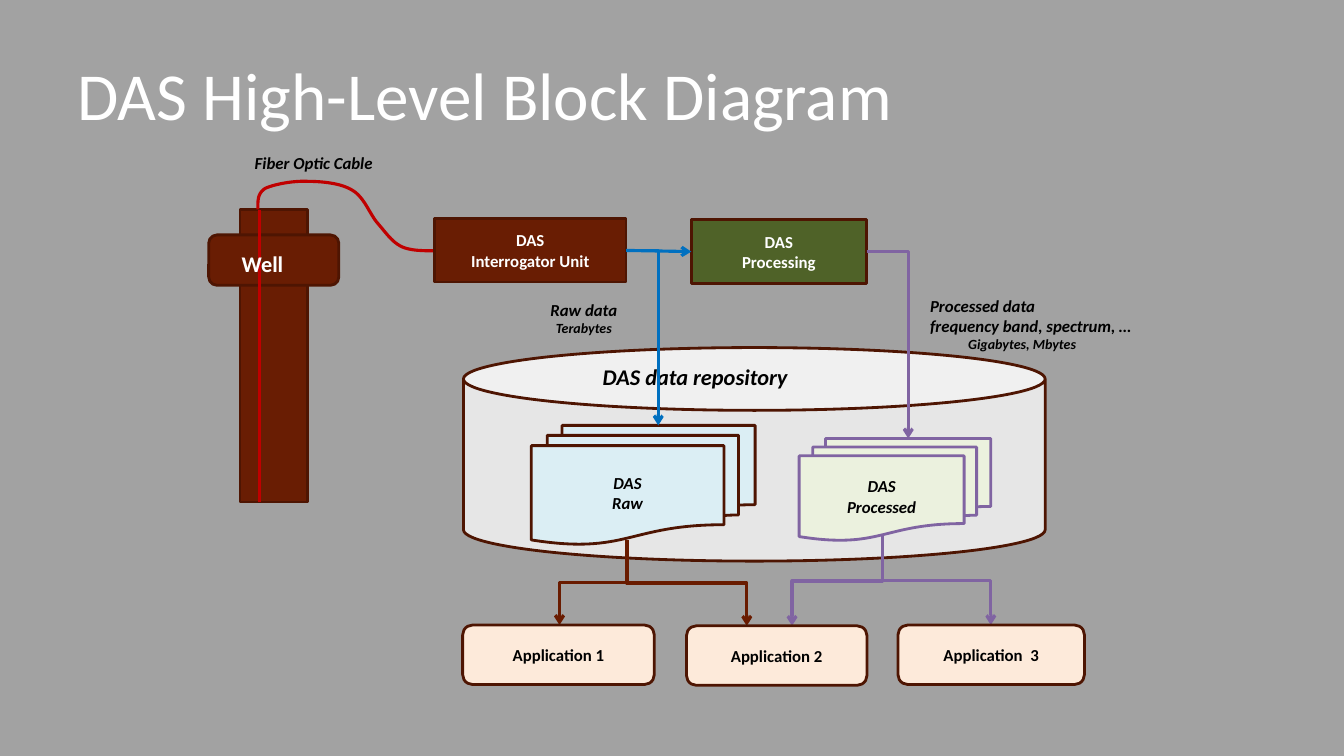
from lxml import etree
from pptx import Presentation
from pptx.dml.color import RGBColor
from pptx.enum import shapes, text
from pptx.oxml.ns import qn
from pptx.util import Cm, Pt

FONT = "Calibri"
GRAY = RGBColor(0xA2, 0xA2, 0xA2)
WHITE = RGBColor(0xFF, 0xFF, 0xFF)
BLACK = RGBColor(0x00, 0x00, 0x00)
BROWN = RGBColor(0x69, 0x1D, 0x03)
DARK_BROWN = RGBColor(0x4E, 0x15, 0x02)
ARROW_BROWN = RGBColor(0x69, 0x1B, 0x00)
GREEN = RGBColor(0x4F, 0x62, 0x28)
RED = RGBColor(0xC0, 0x00, 0x00)
BLUE = RGBColor(0x00, 0x70, 0xC0)
PURPLE = RGBColor(0x80, 0x64, 0xA2)
PALE_GRAY = RGBColor(0xE6, 0xE6, 0xE6)
PALE_BLUE = RGBColor(0xDB, 0xEE, 0xF4)
PALE_GREEN = RGBColor(0xEB, 0xF1, 0xDE)
PEACH = RGBColor(0xFD, 0xEA, 0xDA)

SHAPE = shapes.MSO_SHAPE
CONNECTOR = shapes.MSO_CONNECTOR
LEFT, CENTER = text.PP_ALIGN.LEFT, text.PP_ALIGN.CENTER
LINE_WIDTH = Pt(2.25)
CURVE_STEPS = 12

# Start point, then two control points and an end point per segment, in cm.
CABLE_START = (6.5, 5.28)
CABLE_SEGMENTS = [
    ((6.5, 5.08), (6.48, 4.88), (6.68, 4.75)),
    ((6.88, 4.65), (7.39, 4.55), (7.75, 4.57)),
    ((8.13, 4.57), (8.61, 4.62), (8.89, 4.8)),
    ((9.19, 4.98), (9.32, 5.41), (9.53, 5.64)),
    ((9.73, 5.87), (9.88, 6.1), (10.13, 6.22)),
    ((10.36, 6.32), (10.67, 6.32), (10.97, 6.32)),
]


def write_lines(frame, lines, color, align=LEFT, bold=True, italic=False):
    """Write one paragraph for each (words, size, indent in cm)."""
    for index, (words, size, indent) in enumerate(lines):
        paragraph = frame.paragraphs[0] if index == 0 else frame.add_paragraph()
        paragraph.alignment = align
        if indent:
            properties = paragraph._p.get_or_add_pPr()
            properties.set("marL", str(Cm(indent)))
            properties.set("indent", "0")
        run = paragraph.add_run()
        run.text = words
        run.font.name = FONT
        run.font.size = Pt(size)
        run.font.bold = bold
        run.font.italic = italic
        run.font.color.rgb = color


def add_block(slide, kind, box, fill, words=(), color=BLACK, line=DARK_BROWN, italic=False):
    shape = slide.shapes.add_shape(kind, *map(Cm, box))
    shape.shadow.inherit = False
    shape.fill.solid()
    shape.fill.fore_color.rgb = fill
    shape.line.color.rgb = line
    shape.line.width = Pt(2)
    shape.text_frame.vertical_anchor = text.MSO_ANCHOR.MIDDLE
    lines = [(word, 12, 0) for word in words]
    write_lines(shape.text_frame, lines, color, CENTER, italic=italic)
    return shape


def add_label(slide, box, lines, color=BLACK, align=LEFT, italic=True):
    label = slide.shapes.add_textbox(*map(Cm, box))
    label.text_frame.word_wrap = False
    label.text_frame.auto_size = text.MSO_AUTO_SIZE.SHAPE_TO_FIT_TEXT
    write_lines(label.text_frame, lines, color, align, italic=italic)


def add_title(slide, words):
    title = slide.shapes.add_textbox(Cm(1.7), Cm(0.76), Cm(30.48), Cm(3.18))
    title.text_frame.word_wrap = True
    title.text_frame.vertical_anchor = text.MSO_ANCHOR.MIDDLE
    write_lines(title.text_frame, [(words, 48, 0)], WHITE, bold=False)


def add_line(slide, kind, start, end, color, arrow=True):
    connector = slide.shapes.add_connector(kind, *map(Cm, start + end))
    connector.line.color.rgb = color
    connector.line.width = LINE_WIDTH
    properties = connector._element.spPr
    if arrow:
        tail = etree.SubElement(properties.find(qn("a:ln")), qn("a:tailEnd"))
        tail.set("type", "arrow")
    etree.SubElement(properties, qn("a:effectLst"))
    return connector


def add_corner_arrow(slide, start, end, color):
    """Go across, then down, with a single bend."""
    connector = add_line(slide, CONNECTOR.ELBOW, start, end, color)
    connector._element.spPr.find(qn("a:prstGeom")).set("prst", "bentConnector2")


def add_step_arrow(slide, start, end, color):
    """Go down, across and down, as an elbow turned by a quarter."""
    middle_x, middle_y = (start[0] + end[0]) / 2, (start[1] + end[1]) / 2
    half_drop, half_run = (end[1] - start[1]) / 2, abs(end[0] - start[0]) / 2
    rightward = end[0] > start[0]
    side = -half_drop if rightward else half_drop
    connector = add_line(slide, CONNECTOR.ELBOW,
                         (middle_x - side, middle_y - half_run),
                         (middle_x + side, middle_y + half_run), color)
    degrees = 270 if rightward else 90
    connector._element.spPr.find(qn("a:xfrm")).set("rot", str(degrees * 60000))


def add_curve(slide, start, segments, color):
    """Draw cubic Bezier segments as one smooth open outline."""
    points, current = [], start
    for first, second, end in segments:
        for step in range(1, CURVE_STEPS + 1):
            t = step / CURVE_STEPS
            weights = ((1 - t) ** 3, 3 * t * (1 - t) ** 2, 3 * t ** 2 * (1 - t), t ** 3)
            corners = (current, first, second, end)
            points.append(tuple(
                Cm(sum(weight * corner[axis] for weight, corner in zip(weights, corners)))
                for axis in (0, 1)))
        current = end
    builder = slide.shapes.build_freeform(Cm(start[0]), Cm(start[1]))
    builder.add_line_segments(points, close=False)
    curve = builder.convert_to_shape()
    curve.shadow.inherit = False
    curve.fill.background()
    curve.line.color.rgb = color
    curve.line.width = LINE_WIDTH


def add_well(slide):
    add_block(slide, SHAPE.RECTANGLE, (6.05, 5.28, 1.7, 7.37), BROWN)
    add_block(slide, SHAPE.ROUNDED_RECTANGLE, (5.26, 5.92, 3.28, 1.27), BROWN)
    add_line(slide, CONNECTOR.STRAIGHT, (6.55, 12.65), (6.55, 5.28), RED, arrow=False)
    add_curve(slide, CABLE_START, CABLE_SEGMENTS, RED)
    add_label(slide, (5.84, 6.17, 1.57, 0.94), [("Well", 16, 0)], WHITE, italic=False)
    add_label(slide, (6.17, 3.73, 3.53, 0.76), [("Fiber Optic Cable", 12, 0)])


def add_repository(slide):
    can = add_block(slide, SHAPE.CAN, (11.68, 8.76, 14.66, 5.38), PALE_GRAY)
    can.adjustments[0] = 0.294
    add_block(slide, SHAPE.FLOWCHART_MULTIDOCUMENT, (13.39, 10.72, 5.64, 3), PALE_BLUE,
              ["DAS", "Raw"], italic=True)
    add_block(slide, SHAPE.FLOWCHART_MULTIDOCUMENT, (20.14, 11.05, 4.83, 2.57), PALE_GREEN,
              ["DAS", "Processed"], line=PURPLE, italic=True)
    add_label(slide, (14.94, 9.02, 5.23, 0.94), [("DAS data repository", 16, 0)])


def add_processing(slide):
    interrogator = add_block(slide, SHAPE.RECTANGLE, (10.95, 5.51, 4.83, 1.6), BROWN,
                             ["DAS", "Interrogator Unit"], WHITE)
    processing = add_block(slide, SHAPE.RECTANGLE, (17.42, 5.54, 4.42, 1.6), GREEN,
                           ["DAS", "Processing"], WHITE)
    link = add_line(slide, CONNECTOR.STRAIGHT, (15.78, 6.31), (17.42, 6.34), BLUE)
    link.begin_connect(interrogator, 3)
    link.end_connect(processing, 1)
    add_corner_arrow(slide, (15.78, 6.31), (16.59, 10.72), BLUE)
    add_corner_arrow(slide, (21.84, 6.34), (22.89, 11.05), PURPLE)
    add_label(slide, (13.61, 7.42, 2.21, 1.19),
              [("Raw data", 12, 0), ("Terabytes", 10, 0)], align=CENTER)
    add_label(slide, (23.19, 7.32, 5.66, 1.8),
              [("Processed data", 12, 0), ("frequency band, spectrum, …", 12, 0),
               ("Gigabytes, Mbytes", 10, 0.96)])


def add_applications(slide):
    raw_exit, processed_exit = (15.8, 13.61), (22.23, 13.51)
    add_step_arrow(slide, raw_exit, (14.1, 15.75), ARROW_BROWN)
    add_step_arrow(slide, raw_exit, (18.82, 15.77), ARROW_BROWN)
    add_step_arrow(slide, processed_exit, (19.96, 15.77), PURPLE)
    add_step_arrow(slide, processed_exit, (24.97, 15.75), PURPLE)
    for name, left, top, width in (("Application 1", 11.66, 15.75, 4.83),
                                   ("Application 2", 17.3, 15.77, 4.55),
                                   ("Application  3", 22.63, 15.75, 4.7)):
        add_block(slide, SHAPE.FLOWCHART_ALTERNATE_PROCESS, (left, top, width, 1.5),
                  PEACH, [name])


def main():
    presentation = Presentation()
    presentation.slide_width, presentation.slide_height = Cm(33.87), Cm(19.05)
    slide = presentation.slides.add_slide(presentation.slide_layouts[6])
    slide.background.fill.solid()
    slide.background.fill.fore_color.rgb = GRAY
    add_title(slide, "DAS High-Level Block Diagram")
    add_well(slide)
    add_repository(slide)
    add_processing(slide)
    add_applications(slide)
    presentation.save("out.pptx")


if __name__ == "__main__":
    main()
